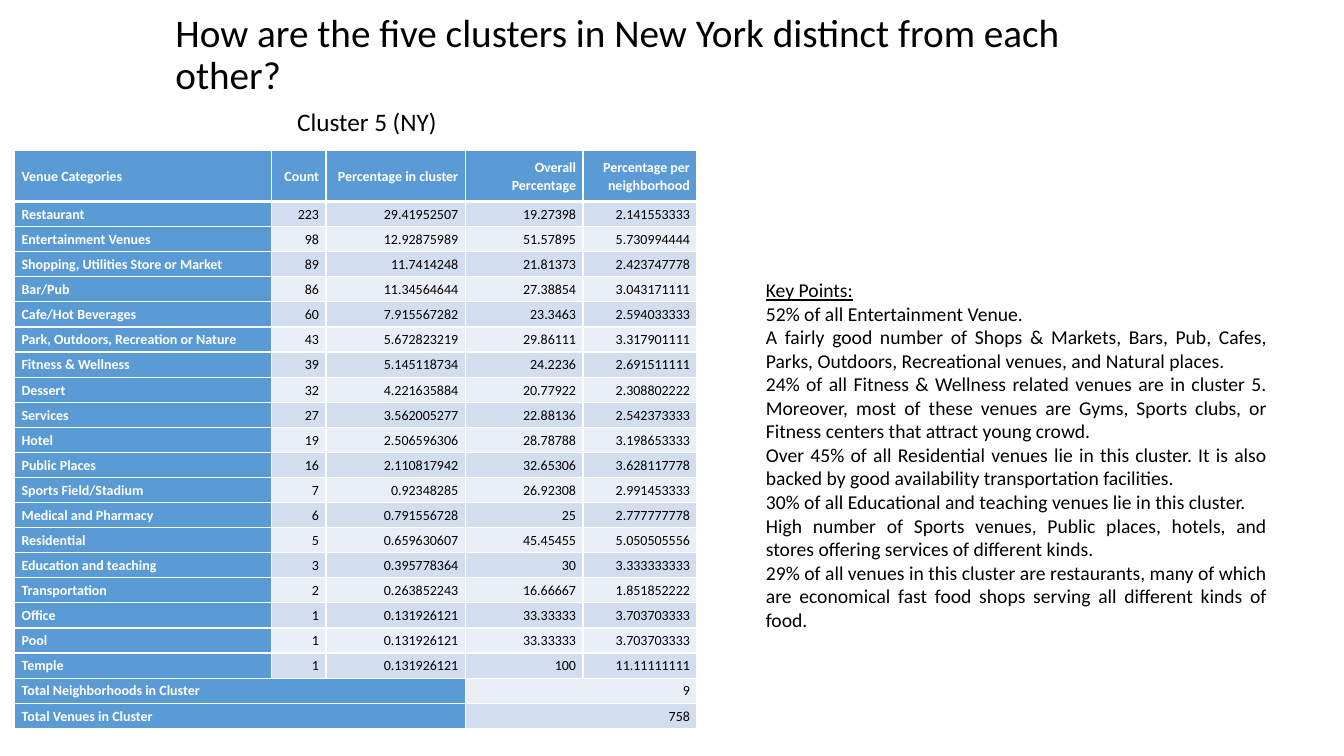
from dataclasses import dataclass

from pptx import Presentation
from pptx import util as u
from pptx.dml.color import RGBColor
from pptx.enum import text
from pptx.oxml import parse_xml
from pptx.oxml.ns import nsdecls

Pt = u.Pt
FONT = "Calibri"
BLACK = RGBColor(0x00, 0x00, 0x00)
WHITE = RGBColor(0xFF, 0xFF, 0xFF)
BLUE = RGBColor(0x5B, 0x9B, 0xD5)
BANDS = (RGBColor(0xEA, 0xEF, 0xF7), RGBColor(0xD2, 0xDE, 0xEF))
LEFT, RIGHT, JUSTIFY = (text.PP_ALIGN.LEFT, text.PP_ALIGN.RIGHT,
                        text.PP_ALIGN.JUSTIFY)


@dataclass(frozen=True)
class Style:
    size: float
    color: RGBColor = BLACK
    bold: bool = False
    underline: bool = False


@dataclass(frozen=True)
class Box:
    left: float
    top: float
    width: float
    height: float

    def lengths(self) -> tuple:
        return Pt(self.left), Pt(self.top), Pt(self.width), Pt(self.height)


@dataclass(frozen=True)
class Venue:
    category: str
    count: str
    in_cluster: str
    overall: str
    per_neighborhood: str

    def values(self) -> tuple:
        return (self.category, self.count, self.in_cluster, self.overall,
                self.per_neighborhood)


HEADER = Venue("Venue Categories", "Count", "Percentage in cluster",
               "Overall Percentage", "Percentage per neighborhood")
VENUES = [
    Venue("Restaurant", "223", "29.41952507", "19.27398", "2.141553333"),
    Venue("Entertainment Venues", "98", "12.92875989", "51.57895", "5.730994444"),
    Venue("Shopping, Utilities Store or Market", "89", "11.7414248", "21.81373",
          "2.423747778"),
    Venue("Bar/Pub", "86", "11.34564644", "27.38854", "3.043171111"),
    Venue("Cafe/Hot Beverages", "60", "7.915567282", "23.3463", "2.594033333"),
    Venue("Park, Outdoors, Recreation or Nature", "43", "5.672823219", "29.86111",
          "3.317901111"),
    Venue("Fitness & Wellness", "39", "5.145118734", "24.2236", "2.691511111"),
    Venue("Dessert", "32", "4.221635884", "20.77922", "2.308802222"),
    Venue("Services", "27", "3.562005277", "22.88136", "2.542373333"),
    Venue("Hotel", "19", "2.506596306", "28.78788", "3.198653333"),
    Venue("Public Places", "16", "2.110817942", "32.65306", "3.628117778"),
    Venue("Sports Field/Stadium", "7", "0.92348285", "26.92308", "2.991453333"),
    Venue("Medical and Pharmacy", "6", "0.791556728", "25", "2.777777778"),
    Venue("Residential", "5", "0.659630607", "45.45455", "5.050505556"),
    Venue("Education and teaching", "3", "0.395778364", "30", "3.333333333"),
    Venue("Transportation", "2", "0.263852243", "16.66667", "1.851852222"),
    Venue("Office", "1", "0.131926121", "33.33333", "3.703703333"),
    Venue("Pool", "1", "0.131926121", "33.33333", "3.703703333"),
    Venue("Temple", "1", "0.131926121", "100", "11.11111111"),
]
TOTALS = [("Total Neighborhoods in Cluster", "9"),
          ("Total Venues in Cluster", "758")]
COLUMN_WIDTHS = (183.6, 38.88, 99.36, 84.24, 81.36)
HEADER_HEIGHT, ROW_HEIGHT = 36.5, 17.94

KEY_POINTS = [
    "52% of all Entertainment Venue.",
    "A fairly good number of Shops & Markets, Bars, Pub, Cafes, Parks, Outdoors, "
    "Recreational venues, and Natural places.",
    "24% of all Fitness & Wellness related venues are in cluster 5. Moreover, most "
    "of these venues are Gyms, Sports clubs, or Fitness centers that attract young "
    "crowd.",
    "Over 45% of all Residential venues lie in this cluster. It is also backed by "
    "good availability transportation facilities.",
    "30% of all Educational and teaching venues lie in this cluster. ",
    "High number of Sports venues, Public places, hotels, and stores offering "
    "services of different kinds.",
    "29% of all venues in this cluster are restaurants, many of which are "
    "economical fast food shops serving all different kinds of food.",
]


def write(p, words: str, style: Style, align=LEFT, spacing: float = 1.0) -> None:
    p.alignment = align
    p.line_spacing = spacing
    r = p.add_run()
    r.text = words
    r.font.name = FONT
    r.font.size = Pt(style.size)
    r.font.bold = style.bold
    r.font.underline = style.underline
    r.font.color.rgb = style.color


def add_text(s, box: Box, lines: list, align=LEFT, wrap: bool = True) -> None:
    tf = s.shapes.add_textbox(*box.lengths()).text_frame
    tf.word_wrap = wrap
    for i, (words, style) in enumerate(lines):
        p = tf.add_paragraph() if i else tf.paragraphs[0]
        write(p, words, style, align)


def set_borders(cell, top: float = 1, bottom: float = 1) -> None:
    sides = (("L", 1), ("R", 1), ("T", top), ("B", bottom))
    for i, (side, width) in enumerate(sides):
        line = parse_xml(
            f'<a:ln{side} {nsdecls("a")} w="{Pt(width)}"><a:solidFill>'
            f'<a:srgbClr val="{WHITE}"/></a:solidFill></a:ln{side}>')
        cell._tc.get_or_add_tcPr().insert(i, line)


def fill_cell(cell, row: int, column: int, words: str) -> None:
    heading = row == 0 or column == 0
    cell.fill.solid()
    cell.fill.fore_color.rgb = BLUE if heading else BANDS[row % 2]
    cell.vertical_anchor = text.MSO_ANCHOR.MIDDLE
    cell.margin_left = cell.margin_right = Pt(5.04)
    cell.margin_top = cell.margin_bottom = Pt(0)
    style = Style(10, WHITE if heading else BLACK, bold=heading)
    write(cell.text_frame.paragraphs[0], words, style,
          RIGHT if column else LEFT, 1.07)
    set_borders(cell, top=3 if row == 1 else 1, bottom=3 if row == 0 else 1)


def add_venue_table(s, left: float, top: float) -> None:
    rows = [HEADER.values()] + [v.values() for v in VENUES]
    rows += [(name, "", "", value, "") for name, value in TOTALS]
    box = Box(left, top, sum(COLUMN_WIDTHS),
              HEADER_HEIGHT + ROW_HEIGHT * (len(rows) - 1))
    table = s.shapes.add_table(len(rows), len(COLUMN_WIDTHS), *box.lengths()).table
    for column, width in zip(table.columns, COLUMN_WIDTHS):
        column.width = Pt(width)
    for i, row in enumerate(rows):
        table.rows[i].height = Pt(ROW_HEIGHT if i else HEADER_HEIGHT)
        for j, words in enumerate(row):
            fill_cell(table.cell(i, j), i, j, words)
    for i in range(len(rows) - len(TOTALS), len(rows)):
        table.cell(i, 0).merge(table.cell(i, 2))
        table.cell(i, 3).merge(table.cell(i, 4))


def add_title(s, box: Box, words: str) -> None:
    sp = s.shapes.title
    sp.left, sp.top, sp.width, sp.height = box.lengths()
    tf = sp.text_frame
    tf.word_wrap = True
    tf.auto_size = text.MSO_AUTO_SIZE.NONE
    tf.vertical_anchor = text.MSO_ANCHOR.MIDDLE
    write(tf.paragraphs[0], words, Style(28), spacing=0.9)


def main() -> None:
    prs = Presentation()
    prs.slide_width, prs.slide_height = Pt(960), Pt(540)
    s = prs.slides.add_slide(prs.slide_layouts[5])

    # Title
    add_title(s, Box(118.08, 19.44, 724.32, 41.04),
              "How are the five clusters in New York distinct from each other?")

    # Venue table and its caption
    add_venue_table(s, 10.4, 107.5)
    add_text(s, Box(205.2, 72.72, 115.2, 28.8),
             [("Cluster 5 (NY)", Style(18))], wrap=False)

    # Key points
    lines = [("Key Points:", Style(14, underline=True))]
    lines += [(point, Style(14)) for point in KEY_POINTS]
    add_text(s, Box(540, 195.12, 372.24, 283.68), lines, JUSTIFY)

    prs.save("out.pptx")


if __name__ == "__main__":
    main()
